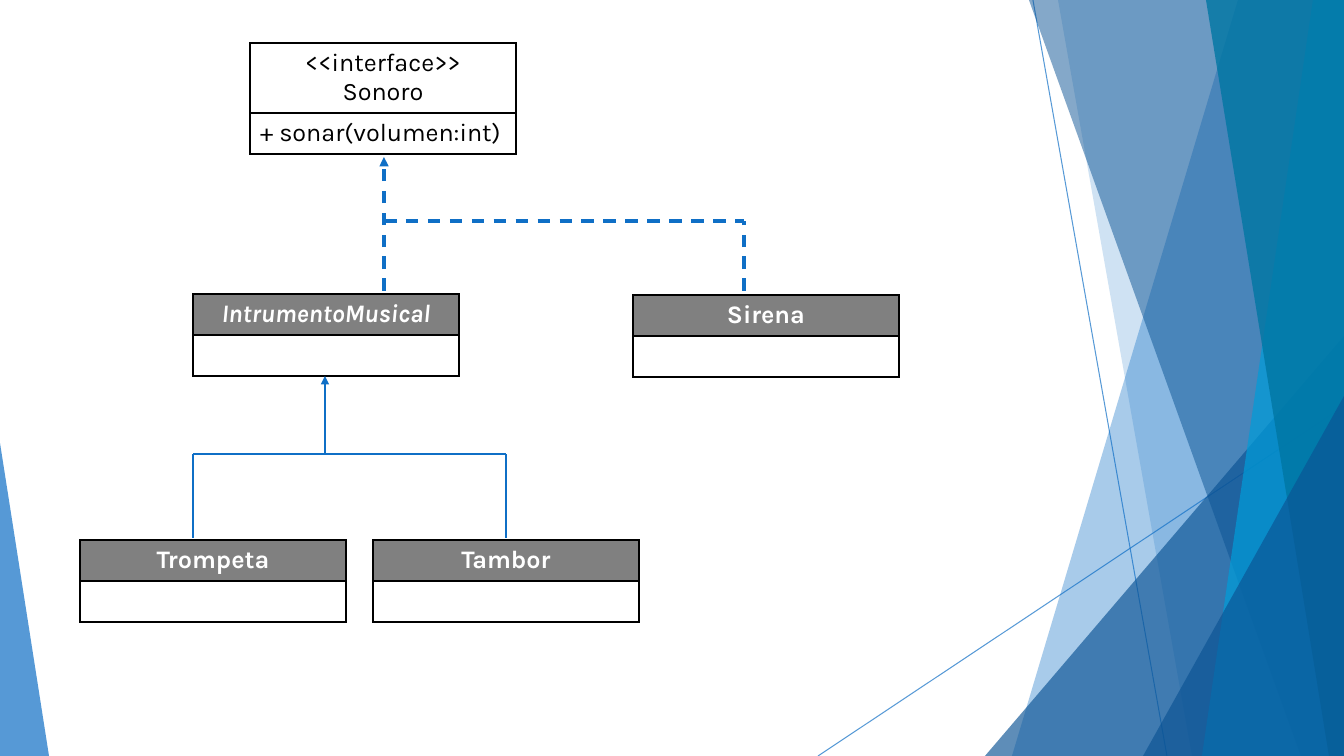
from lxml.etree import SubElement as Sub
from pptx import Presentation
from pptx.dml.color import RGBColor as RGB
from pptx.enum.dml import MSO_LINE as Dash
from pptx.enum.shapes import MSO_CONNECTOR as Conn, MSO_SHAPE as Kind
from pptx.enum.text import PP_ALIGN as Align
from pptx.oxml.ns import qn
from pptx.util import Pt

WIDE, HIGH = 1344, 756
UNIT = 12192000 / WIDE
COLORS = {
    "blue": "0F6FC6", "navy": "0B5394", "cyan": "009DD9", "teal": "0076A3",
    "gray": "808080", "white": "FFFFFF", "black": "000000",
}


def px(num):
    return round(num * UNIT)


def fade(node, pct):
    """Make every colour inside the node pct percent opaque."""
    for clr in node.iter(qn("a:srgbClr")):
        Sub(clr, qn("a:alpha"), val=str(pct * 1000))


class Board:
    """Style and current slide, with lengths given in px."""
    font, size, width, row = "Karla", 18, 266, 41

    def __init__(self, slide):
        self.shapes = slide.shapes

    def color(self, name):
        return RGB.from_string(COLORS[name])

    def paint(self, shape, name, pct):
        shape.shadow.inherit = False
        shape.fill.solid()
        shape.fill.fore_color.rgb = self.color(name)
        shape.line.fill.background()
        fade(shape.element.spPr, pct)

    def facet(self, top, base, name, pct):
        """Fill from a slanted edge to the right side of the slide."""
        pen = self.shapes.build_freeform(top, 0, scale=UNIT)
        pen.add_line_segments([(WIDE, 0), (WIDE, HIGH), (base, HIGH)])
        self.paint(pen.convert_to_shape(), name, pct)

    def wedge(self, left, top, wide, tip, name, pct):
        """Draw a triangle that stands on the bottom edge of the slide."""
        shape = self.shapes.add_shape(
            Kind.ISOSCELES_TRIANGLE, px(left), px(top), px(wide), px(HIGH - top))
        shape.adjustments[0] = tip
        self.paint(shape, name, pct)

    def line(self, start, end, weight=1, dash=False, arrow=False, pct=100):
        link = self.shapes.add_connector(
            Conn.STRAIGHT, *(px(num) for num in start + end))
        link.line.color.rgb = self.color("blue")
        link.line.width = Pt(weight)
        if dash:
            link.line.dash_style = Dash.DASH
        props = link.element.spPr
        if arrow:
            Sub(props.find(qn("a:ln")), qn("a:tailEnd"), type="triangle")
        if pct < 100:
            fade(props, pct)
        Sub(props, qn("a:effectLst"))

    def cell(self, cell, text, fill, ink, align=Align.LEFT, bold=False, slant=False):
        props = cell._tc.get_or_add_tcPr()
        for side in "LRTB":
            edge = Sub(props, qn(f"a:ln{side}"), w=str(Pt(1)))
            paint = Sub(edge, qn("a:solidFill"))
            Sub(paint, qn("a:srgbClr"), val=COLORS["black"])
        cell.fill.solid()
        cell.fill.fore_color.rgb = self.color(fill)
        cell.text_frame.text = text
        for para in cell.text_frame.paragraphs:
            para.alignment = align
            para.font.size = Pt(self.size)
            for run in para.runs:
                font = run.font
                font.name, font.size = self.font, Pt(self.size)
                font.bold, font.italic = bold, slant
                font.color.rgb = self.color(ink)

    def table(self, left, top, head):
        """Add an empty two-row table whose first row is head px high."""
        table = self.shapes.add_table(
            2, 1, px(left), px(top), px(self.width), px(head + self.row)).table
        table.first_row = table.horz_banding = False
        table.rows[0].height, table.rows[1].height = px(head), px(self.row)
        return table.cell(0, 0), table.cell(1, 0)

    def face(self, left, top, name, call):
        head, body = self.table(left, top, 70)
        self.cell(head, f"<<interface>>\n{name}", "white", "black", Align.CENTER)
        self.cell(body, call, "white", "black")

    def kind(self, left, top, name, slant=False):
        head, body = self.table(left, top, self.row)
        self.cell(head, name, "gray", "white", Align.CENTER, True, slant)
        self.cell(body, "", "white", "black")


def scene(board):
    board.line((1033, 0), (1167, HIGH), 0.75, pct=70)
    board.line((WIDE, 406), (818, HIGH), 0.75, pct=70)
    board.facet(1238, 1012, "blue", 36)
    board.facet(1058, 1192, "blue", 20)
    board.wedge(985, 336, 359, 1, "navy", 66)
    board.facet(1029, 1301, "navy", 50)
    board.facet(1313, 1202, "cyan", 70)
    board.facet(1206, 1329, "teal", 80)
    board.wedge(1143, 396, 201, 1, "navy", 66)
    board.wedge(0, 443, 49, 0, "blue", 70)


def diagram(board):
    board.face(250, 43, "Sonoro", "+ sonar(volumen:int)")
    board.kind(193, 294, "IntrumentoMusical", slant=True)
    board.kind(633, 295, "Sirena")
    board.kind(80, 540, "Trompeta")
    board.kind(373, 540, "Tambor")

    board.line((384, 291), (384, 157), 2.25, dash=True, arrow=True)
    board.line((384, 221), (744, 221), 2.25, dash=True)
    board.line((744, 291), (744, 221), 2.25, dash=True)
    for mid in (193, 506):
        board.line((mid, 538), (mid, 454))
    board.line((506, 454), (193, 454))
    board.line((325, 454), (325, 376), arrow=True)


def main():
    deck = Presentation()
    deck.slide_width, deck.slide_height = px(WIDE), px(HIGH)
    board = Board(deck.slides.add_slide(deck.slide_layouts[6]))
    scene(board)
    diagram(board)
    deck.save("out.pptx")


if __name__ == "__main__":
    main()
